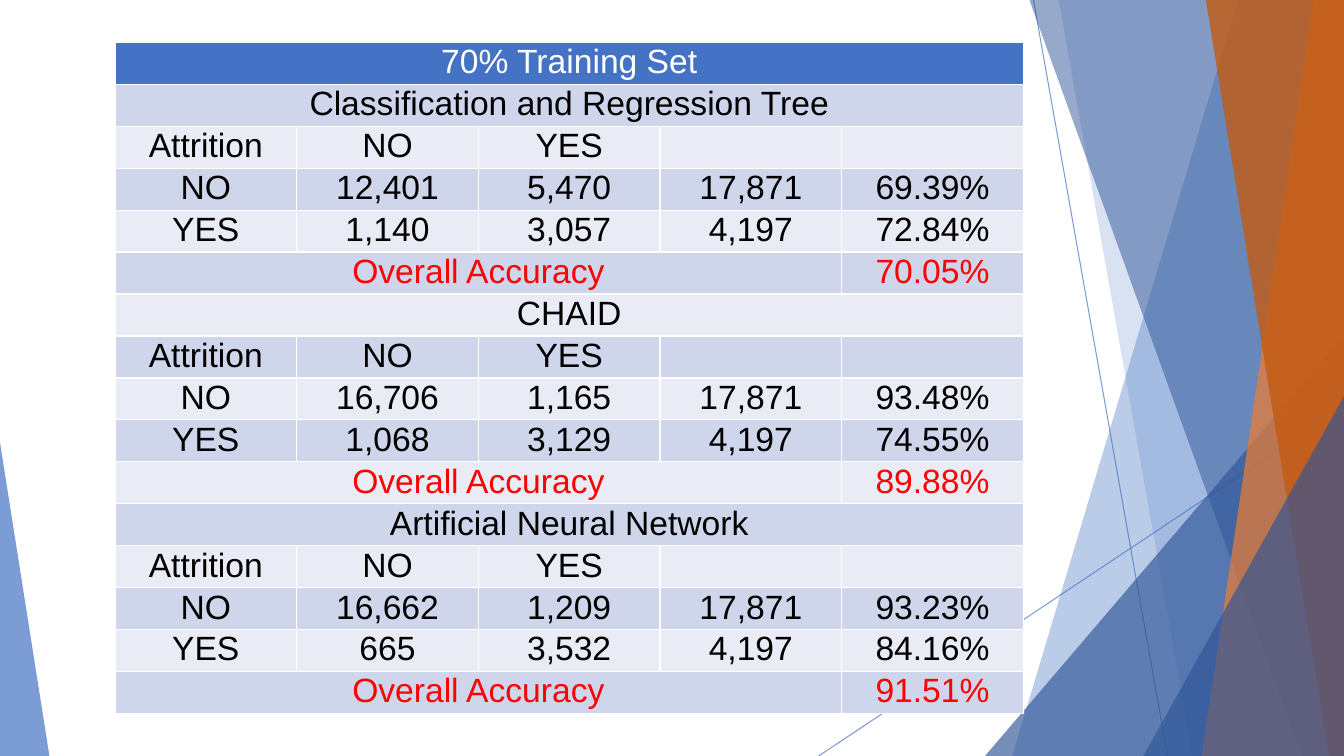
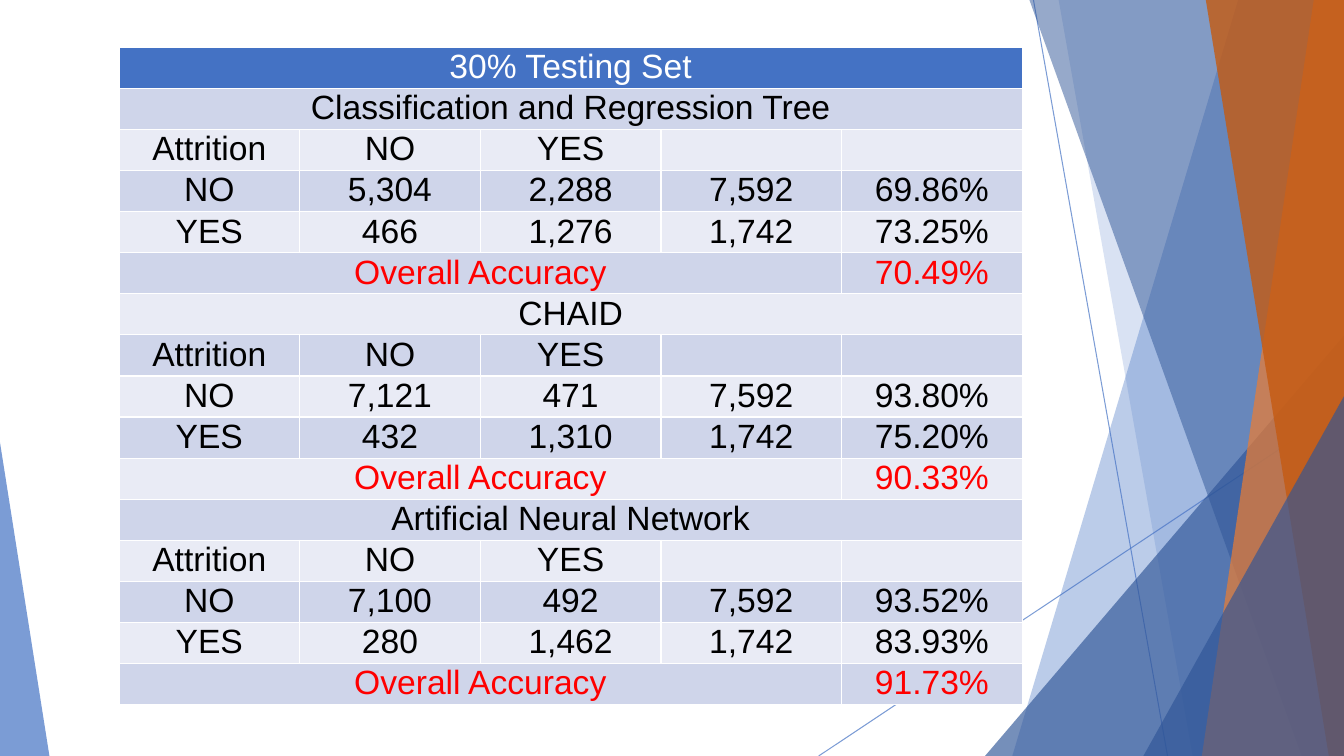
import pptx
import pptx.util
from lxml import etree
from pptx.dml.color import RGBColor
from pptx.enum.shapes import MSO_CONNECTOR, MSO_SHAPE
from pptx.enum.text import PP_ALIGN
from pptx.oxml.ns import qn
from pptx.util import Inches

WHITE = RGBColor(0xFF, 0xFF, 0xFF)
BLACK = RGBColor(0x00, 0x00, 0x00)
RED = RGBColor(0xFF, 0x00, 0x00)
BLUE = RGBColor(0x44, 0x72, 0xC4)
NAVY = RGBColor(0x2F, 0x55, 0x97)
ORANGE = RGBColor(0xED, 0x7D, 0x31)
RUST = RGBColor(0xC5, 0x5A, 0x11)
BANDS = (RGBColor(0xE9, 0xEB, 0xF5), RGBColor(0xCF, 0xD5, 0xEA))  # even, odd rows

SLIDE_W, SLIDE_H = 13.33, 7.5
COLUMNS = 5

# Kind, geometry, colour, opacity in percent; back to front.
# line: from and to; panel: x at top and bottom, reaching the right edge;
# triangle: left, top, width and apex position, standing on the bottom edge.
DECORATION = [
    ("line", (10.25, 0, 11.58, 7.5), BLUE, 70),
    ("line", (13.33, 4.03, 8.12, 7.5), BLUE, 70),
    ("panel", (12.28, 10.04), BLUE, 36),
    ("panel", (10.5, 11.83), BLUE, 20),
    ("triangle", (9.77, 3.33, 3.56, 1), NAVY, 66),
    ("panel", (10.21, 12.91), NAVY, 50),
    ("panel", (13.03, 11.92), ORANGE, 70),
    ("panel", (11.96, 13.18), RUST, 80),
    ("triangle", (11.34, 3.93, 1.99, 1), NAVY, 66),
    ("triangle", (0, 4.39, 0.49, 0), BLUE, 70),
]

# Each model: name, NO row, YES row, overall accuracy.
RESULTS = [
    {
        "title": "70% Training Set",
        "box": (1.14, 0.42, 9.01, 6.66),
        "models": [
            ("Classification and Regression Tree",
             ("12,401", "5,470", "17,871", "69.39%"),
             ("1,140", "3,057", "4,197", "72.84%"), "70.05%"),
            ("CHAID",
             ("16,706", "1,165", "17,871", "93.48%"),
             ("1,068", "3,129", "4,197", "74.55%"), "89.88%"),
            ("Artificial Neural Network",
             ("16,662", "1,209", "17,871", "93.23%"),
             ("665", "3,532", "4,197", "84.16%"), "91.51%"),
        ],
    },
    {
        "title": "30% Testing Set",
        "box": (1.18, 0.47, 8.96, 6.52),
        "models": [
            ("Classification and Regression Tree",
             ("5,304", "2,288", "7,592", "69.86%"),
             ("466", "1,276", "1,742", "73.25%"), "70.49%"),
            ("CHAID",
             ("7,121", "471", "7,592", "93.80%"),
             ("432", "1,310", "1,742", "75.20%"), "90.33%"),
            ("Artificial Neural Network",
             ("7,100", "492", "7,592", "93.52%"),
             ("280", "1,462", "1,742", "83.93%"), "91.73%"),
        ],
    },
]


def set_opacity(shape, percent):
    for color in shape.element.spPr.iter(qn("a:srgbClr")):
        etree.SubElement(color, qn("a:alpha")).set("val", str(percent * 1000))


def add_line(shapes, geometry, color):
    line = shapes.add_connector(MSO_CONNECTOR.STRAIGHT, *map(Inches, geometry))
    line.line.color.rgb = color
    line.line.width = pptx.util.Pt(0.75)
    etree.SubElement(line.element.spPr, qn("a:effectLst"))
    return line


def add_filled(shapes, kind, geometry, color):
    if kind == "panel":
        top_x, bottom_x = geometry
        corners = [(SLIDE_W, 0), (SLIDE_W, SLIDE_H), (bottom_x, SLIDE_H)]
        builder = shapes.build_freeform(Inches(top_x), 0)
        builder.add_line_segments([(Inches(x), Inches(y)) for x, y in corners])
        shape = builder.convert_to_shape()
    else:
        left, top, width, apex = geometry
        shape = shapes.add_shape(MSO_SHAPE.ISOSCELES_TRIANGLE, Inches(left), Inches(top),
                                 Inches(width), Inches(SLIDE_H - top))
        shape.adjustments[0] = apex
    shape.shadow.inherit = False
    shape.fill.solid()
    shape.fill.fore_color.rgb = color
    shape.line.fill.background()
    return shape


def decorate_layout(layout, slide):
    """Draw the decoration as a group on the slide, then move it to the layout."""
    for placeholder in list(layout.placeholders):
        placeholder.element.getparent().remove(placeholder.element)
    group = slide.shapes.add_group_shape()
    for kind, geometry, color, opacity in DECORATION:
        if kind == "line":
            shape = add_line(group.shapes, geometry, color)
        else:
            shape = add_filled(group.shapes, kind, geometry, color)
        set_opacity(shape, opacity)
    layout.shapes.element.append(group.element)


def table_rows(result):
    """Give each row as its texts, the number of columns its first cell spans, and its colour."""
    rows = [([result["title"]], COLUMNS, WHITE)]
    for name, no_row, yes_row, accuracy in result["models"]:
        rows += [
            ([name], COLUMNS, BLACK),
            (["Attrition", "NO", "YES", "", ""], 1, BLACK),
            (["NO", *no_row], 1, BLACK),
            (["YES", *yes_row], 1, BLACK),
            (["Overall Accuracy", accuracy], COLUMNS - 1, RED),
        ]
    return rows


def format_cell(cell, fill, color):
    cell.fill.solid()
    cell.fill.fore_color.rgb = fill
    cell.margin_left = cell.margin_right = cell.margin_top = Inches(0.01)
    cell.margin_bottom = 0
    p = cell.text_frame.paragraphs[0]
    p.alignment = PP_ALIGN.CENTER
    p.font.name = "Arial"
    p.font.size = pptx.util.Pt(24)
    p.font.bold = False
    p.font.color.rgb = color


def add_result_table(slide, result):
    rows = table_rows(result)
    table = slide.shapes.add_table(len(rows), COLUMNS, *map(Inches, result["box"])).table
    for i, (texts, span, color) in enumerate(rows):
        fill = BANDS[i % 2] if i else BLUE
        for j in range(COLUMNS):
            format_cell(table.cell(i, j), fill, color)
        if span > 1:
            table.cell(i, 0).merge(table.cell(i, span - 1))
        for k, text in enumerate(texts):
            if text:
                column = k + span - 1 if k else 0
                table.cell(i, column).text_frame.paragraphs[0].add_run().text = text


def main():
    prs = pptx.Presentation()
    prs.slide_width, prs.slide_height = Inches(SLIDE_W), Inches(SLIDE_H)
    layout = prs.slide_layouts.get_by_name("Blank")
    for i, result in enumerate(RESULTS):
        slide = prs.slides.add_slide(layout)
        if i == 0:
            decorate_layout(layout, slide)
        add_result_table(slide, result)
    prs.save("out.pptx")


if __name__ == "__main__":
    main()
